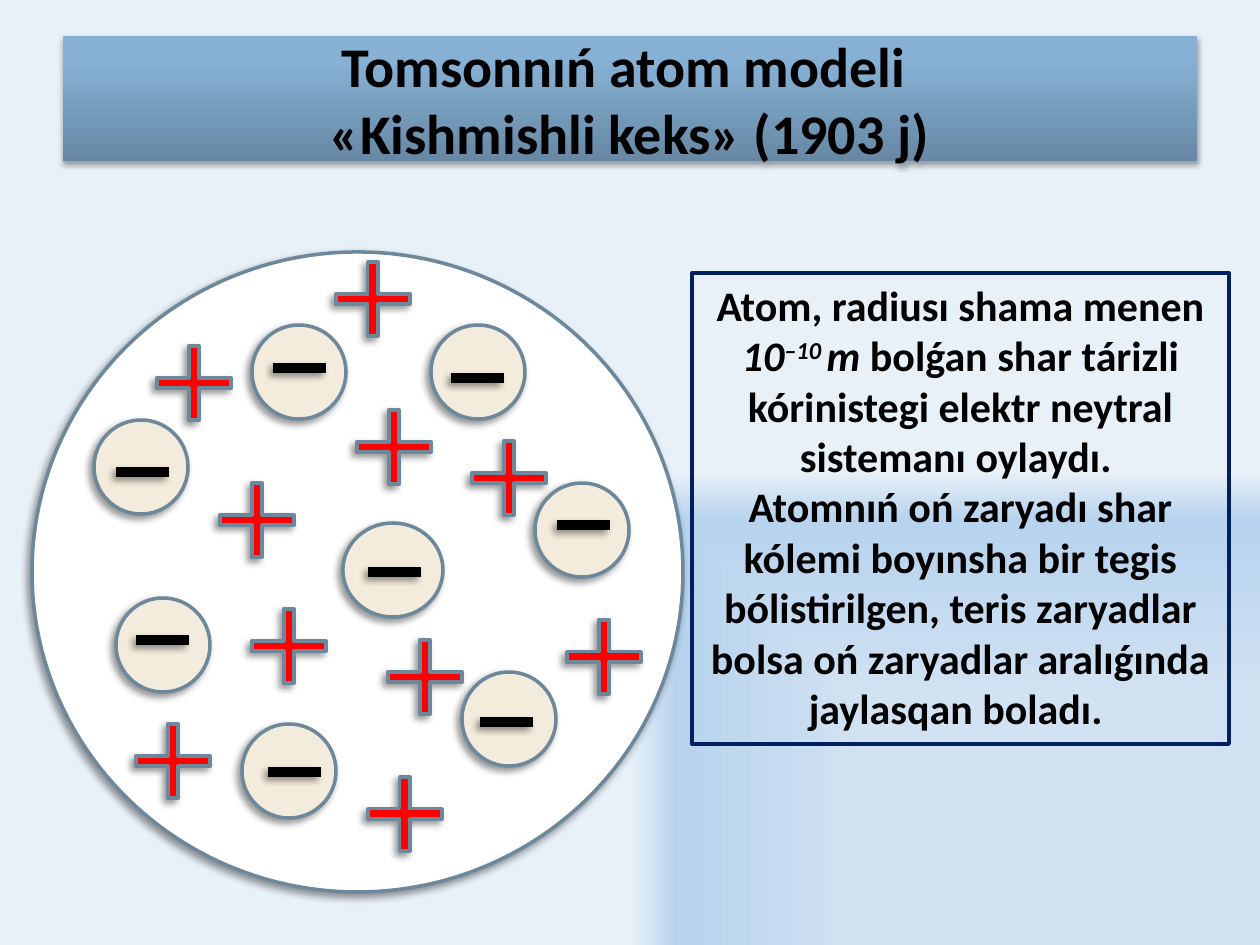
import lxml.etree
import pptx
import pptx.dml.color
import pptx.enum.shapes
import pptx.enum.text
import pptx.oxml
import pptx.oxml.ns
import pptx.util

PX = 914400 / 126
SHAPE = pptx.enum.shapes.MSO_SHAPE
CENTER = pptx.enum.text.PP_ALIGN.CENTER

TITLE = "Tomsonnıń atom modeli \v«Kishmishli keks» (1903 j)"
# Each run: text, italic, superscript
DESCRIPTION = [
    [
        ("Atom, radiusı shama menen ", False, False),
        ("10", True, False),
        ("–10\u00a0", True, True),
        ("m ", True, False),
        ("bolǵan shar tárizli kórinistegi elektr neytral sistemanı oylaydı. ", False, False),
    ],
    [
        ("Atomnıń oń zaryadı shar kólemi boyınsha bir tegis bólistirilgen, "
         "teris zaryadlar bolsa oń zaryadlar aralıǵında jaylasqan boladı. ", False, False),
    ],
]

TITLE_BOX = (63, 36, 1134, 125)
DESCRIPTION_BOX = (692, 273, 537, 471)
ATOM_BOX = (32, 252, 651, 640)
ELECTRON_SIZE, MINUS_LENGTH, PLUS_SIZE = 94, 53, 74
# Electron left, top, width; minus sign left, y
ELECTRONS = [
    (94, 420, 94, 116, 472),
    (116, 598, 94, 136, 640),
    (252, 325, 94, 273, 368),
    (343, 523, 100, 368, 572),
    (431, 325, 94, 451, 378),
    (242, 724, 94, 268, 772),
    (462, 672, 94, 480, 722),
    (535, 483, 94, 557, 525),
]
PLUSES = [
    (220, 483), (157, 346), (357, 410), (252, 609), (136, 724),
    (368, 777), (388, 640), (567, 620), (472, 441), (336, 262),
]

TITLE_STOPS = [(0, "6788A4"), (80, "86B1D4"), (100, "86B2D7")]
BACKGROUND_STOPS = [(50, "D2E2F2"), (90, "B7D3ED"), (100, "E8F0F8")]
OUTLINE = "6D879B"


def emu(*lengths):
    return [round(length * PX) for length in lengths]


def color(hex_string):
    return pptx.dml.color.RGBColor.from_string(hex_string)


def gradient(stops, direction):
    stop_xml = "".join(
        f'<a:gs pos="{position * 1000}"><a:srgbClr val="{value}"/></a:gs>'
        for position, value in stops
    )
    return pptx.oxml.parse_xml(
        f'<a:gradFill {pptx.oxml.ns.nsdecls("a")} rotWithShape="1">'
        f"<a:gsLst>{stop_xml}</a:gsLst>{direction}</a:gradFill>"
    )


def add_shadow(shape, alpha=40, blur=4, distance=3, angle=135):
    properties = shape._element.spPr
    effects = lxml.etree.SubElement(properties, pptx.oxml.ns.qn("a:effectLst"))
    effects.append(pptx.oxml.parse_xml(
        f'<a:outerShdw {pptx.oxml.ns.nsdecls("a")} blurRad="{round(blur * 12700)}" '
        f'dist="{round(distance * 12700)}" dir="{angle * 60000}" rotWithShape="0">'
        f'<a:srgbClr val="000000"><a:alpha val="{alpha * 1000}"/></a:srgbClr></a:outerShdw>'
    ))


def set_line(shape, hex_string, width):
    shape.line.color.rgb = color(hex_string)
    shape.line.width = pptx.util.Pt(width)


def format_run(run, size):
    run.font.name = "Calibri"
    run.font.size = pptx.util.Pt(size)
    run.font.bold = True
    run.font.color.rgb = color("000000")


def add_particle(slide, kind, box, fill):
    shape = slide.shapes.add_shape(kind, *emu(*box))
    shape.fill.solid()
    shape.fill.fore_color.rgb = color(fill)
    set_line(shape, OUTLINE, 2)
    add_shadow(shape)
    return shape


def add_minus(slide, left, y):
    minus = slide.shapes.add_connector(
        pptx.enum.shapes.MSO_CONNECTOR.STRAIGHT, *emu(left, y, left + MINUS_LENGTH, y))
    set_line(minus, "000000", 6)
    add_shadow(minus)


def set_background(slide):
    fill = slide.background.fill
    fill.solid()
    properties = slide._element.cSld.bg.bgPr
    direction = '<a:path path="rect"><a:fillToRect l="100000" t="100000"/></a:path>'
    properties.replace(properties[0], gradient(BACKGROUND_STOPS, direction))


def add_title(slide):
    title = slide.shapes.title
    title.left, title.top, title.width, title.height = emu(*TITLE_BOX)
    title._element.spPr.append(gradient(TITLE_STOPS, '<a:lin ang="16200000" scaled="0"/>'))
    add_shadow(title, 35, 3.1, 1.8, 90)
    frame = title.text_frame
    frame.text = TITLE
    frame.vertical_anchor = pptx.enum.text.MSO_ANCHOR.MIDDLE
    frame.auto_size = pptx.enum.text.MSO_AUTO_SIZE.NONE
    frame.paragraphs[0].alignment = CENTER
    for run in frame.paragraphs[0].runs:
        format_run(run, 32)


def add_description(slide):
    box = slide.shapes.add_textbox(*emu(*DESCRIPTION_BOX))
    set_line(box, "002060", 2.25)
    frame = box.text_frame
    frame.word_wrap = True
    frame.auto_size = pptx.enum.text.MSO_AUTO_SIZE.SHAPE_TO_FIT_TEXT
    for index, runs in enumerate(DESCRIPTION):
        paragraph = frame.add_paragraph() if index else frame.paragraphs[0]
        paragraph.alignment = CENTER
        for text, italic, superscript in runs:
            run = paragraph.add_run()
            run.text = text
            format_run(run, 24)
            run.font.italic = italic
            if superscript:
                run.font._element.set("baseline", "30000")


def main():
    presentation = pptx.Presentation()
    presentation.slide_width, presentation.slide_height = emu(1260, 945)
    slide = presentation.slides.add_slide(presentation.slide_layouts[5])
    set_background(slide)
    add_title(slide)
    add_particle(slide, SHAPE.OVAL, ATOM_BOX, "FFFFFF")
    for left, top, width, minus_left, minus_y in ELECTRONS:
        add_particle(slide, SHAPE.OVAL, (left, top, width, ELECTRON_SIZE), "F3EBDB")
        add_minus(slide, minus_left, minus_y)
    for left, top in PLUSES:
        plus = add_particle(slide, SHAPE.CROSS, (left, top, PLUS_SIZE, PLUS_SIZE), "FF0000")
        plus.adjustments[0] = 0.43
    add_description(slide)
    presentation.save("out.pptx")


if __name__ == "__main__":
    main()
